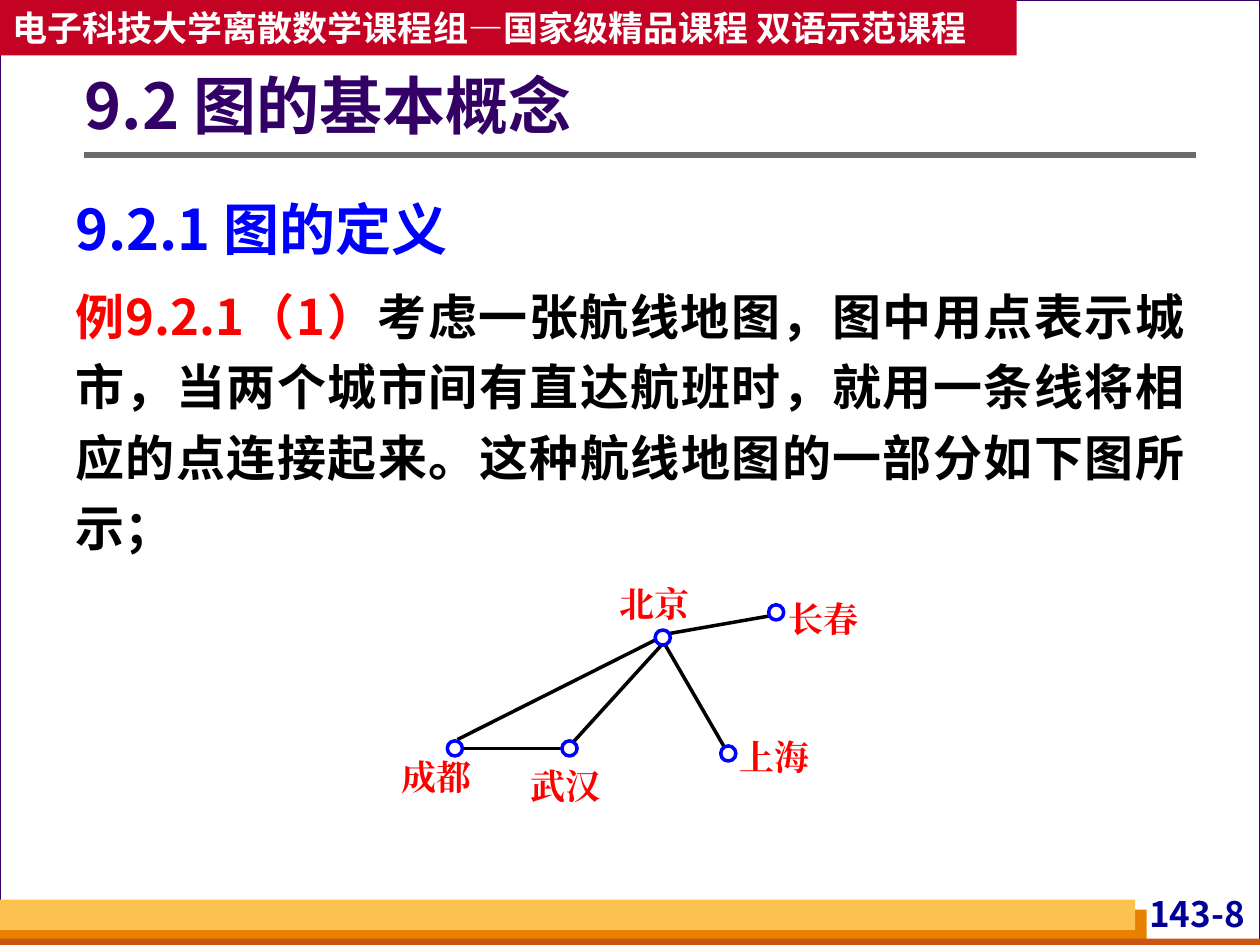
import pptx
import pptx.dml.color
import pptx.enum.shapes
import pptx.enum.text
import pptx.oxml.ns
import pptx.util

ALIGN = pptx.enum.text.PP_ALIGN
ANCHOR = pptx.enum.text.MSO_ANCHOR
SHAPE = pptx.enum.shapes.MSO_SHAPE
CJK = "Noto Sans CJK SC"
SERIF = "Times New Roman"


def color(value):
    """Turn a hex string into a colour."""
    return pptx.dml.color.RGBColor.from_string(value)


class Deck:
    """Holds the style and current slide, on a grid of 100 columns by 75 rows."""

    def __init__(self, prs):
        self.prs = prs
        self.cell = prs.slide_width / 100
        self.s = prs.slides.add_slide(prs.slide_layouts[6])
        self.shapes = self.s.shapes

    def grid(self, *cells):
        return [pptx.util.Emu(round(c * self.cell)) for c in cells]

    def background(self, value):
        fill = self.s.background.fill
        fill.solid()
        fill.fore_color.rgb = color(value)

    def group(self):
        self.shapes = self.s.shapes.add_group_shape().shapes

    def shape(self, kind, at, fill, line=None, width=0):
        sp = self.shapes.add_shape(kind, *self.grid(*at))
        sp.shadow.inherit = False
        sp.fill.solid()
        sp.fill.fore_color.rgb = color(fill)
        if line:
            sp.line.color.rgb = color(line)
            sp.line.width = pptx.util.Pt(width)
        else:
            sp.line.fill.background()
        return sp

    def line(self, start, end, value, width):
        straight = pptx.enum.shapes.MSO_CONNECTOR.STRAIGHT
        sp = self.shapes.add_connector(straight, *self.grid(*start, *end))
        sp.line.color.rgb = color(value)
        sp.line.width = pptx.util.Pt(width)
        props = sp._element.spPr
        props.append(props.makeelement(pptx.oxml.ns.qn("a:effectLst"), {}))

    def box(self, at):
        return self.shapes.add_textbox(*self.grid(*at))

    def frame(self, sp, insets=(1, 0.5, 1, 0.5), anchor=ANCHOR.TOP, wrap=True):
        tf = sp.text_frame
        tf.word_wrap = wrap
        tf.vertical_anchor = anchor
        (tf.margin_left, tf.margin_top,
         tf.margin_right, tf.margin_bottom) = self.grid(*insets)
        return tf

    def fill_text(self, p, runs, size, font=CJK, align=ALIGN.LEFT, spacing=1.0):
        p.alignment = align
        p.line_spacing = spacing
        for text, value in runs:
            r = p.add_run()
            r.text = text
            r.font.size = pptx.util.Pt(size)
            r.font.bold = True
            r.font.name = font
            r.font.color.rgb = color(value)
            props = r._r.get_or_add_rPr()
            east = props.makeelement(pptx.oxml.ns.qn("a:ea"), {"typeface": font})
            props.find(pptx.oxml.ns.qn("a:latin")).addnext(east)


def frame_slide(deck):
    """Draw the course banner, footer bars and page number."""
    deck.shape(SHAPE.RECTANGLE, (0, 0, 100, 75), "FFFFFF", "330066", 0.75)
    for at, fill in (((0, 72.2, 91, 2.8), "E88000"),
                     ((0, 74.5, 100, 0.5), "C95616"),
                     ((0, 71.4, 90.1, 2.4), "FCC24F")):
        deck.shape(SHAPE.RECTANGLE, at, fill)
    tf = deck.frame(deck.box((87, 70.8, 12.2, 3.8)), (0.4, 0, 0.4, 0))
    deck.fill_text(tf.paragraphs[0], [("143-8", "000099")], 20, align=ALIGN.RIGHT)
    deck.line((6.7, 12.3), (94.9, 12.3), "6B6B6B", 3)
    banner = deck.shape(SHAPE.RECTANGLE, (0, 0, 80.7, 4.4), "C30224")
    tf = deck.frame(banner, anchor=ANCHOR.MIDDLE, wrap=False)
    text = "电子科技大学离散数学课程组—国家级精品课程 双语示范课程"
    deck.fill_text(tf.paragraphs[0], [(text, "FFFFFF")], 20)


def add_content(deck):
    """Add the title, section heading and example."""
    tf = deck.frame(deck.box((6.7, 3.6, 88.2, 10.1)), (0, 0.5, 1, 0.5), ANCHOR.MIDDLE)
    deck.fill_text(tf.paragraphs[0], [("9.2 图的基本概念", "330066")], 36, spacing=0.9)
    tf = deck.frame(deck.box((5, 13.9, 90, 30.8)))
    deck.fill_text(tf.paragraphs[0], [("9.2.1 图的定义", "0000FF")], 32,
                   align=ALIGN.JUSTIFY, spacing=1.2)
    p = tf.add_paragraph()
    p.space_before = pptx.util.Pt(7)
    example = [("例9.2.1（1）", "FF0000"),
               ("考虑一张航线地图，图中用点表示城市，当两个城市间有直达航班时，"
                "就用一条线将相应的点连接起来。这种航线地图的一部分如下图所示；", "000000")]
    deck.fill_text(p, example, 28, align=ALIGN.JUSTIFY, spacing=1.2)


def draw_route_map(deck):
    """Draw the flights between cities as a graph."""
    cities = {"长春": ((61, 48), (62.6, 47.4)),
              "北京": ((52, 50), (49.2, 46.2)),
              "成都": ((35.5, 58.8), (31.9, 60)),
              "武汉": ((44.6, 58.8), (42.1, 60.7)),
              "上海": ((57.2, 59.2), (58.7, 58.4))}
    flights = [((53, 50.3), (61, 48.9)), ((52, 50.8), (36.3, 58.7)),
               ((44.5, 59.4), (36.6, 59.4)), ((52.5, 51.2), (45.4, 59)),
               ((52.8, 51.2), (57.9, 60))]
    deck.group()
    for name, (_, label) in cities.items():
        tf = deck.frame(deck.box((*label, 6.3, 3.3)), (0, 0, 0, 0))
        deck.fill_text(tf.paragraphs[0], [(name, "FF0000")], 20, SERIF, ALIGN.JUSTIFY)
    for start, end in flights:
        deck.line(start, end, "000000", 2)
    for point, _ in cities.values():
        deck.shape(SHAPE.OVAL, (*point, 1.2, 1.2), "FFFFFF", "0000FF", 2)


def main():
    """Build and save the slide."""
    prs = pptx.Presentation()
    prs.slide_width = pptx.util.Inches(10)
    prs.slide_height = pptx.util.Inches(7.5)
    deck = Deck(prs)
    deck.background("D8DADA")
    frame_slide(deck)
    add_content(deck)
    draw_route_map(deck)
    prs.save("out.pptx")


if __name__ == "__main__":
    main()
